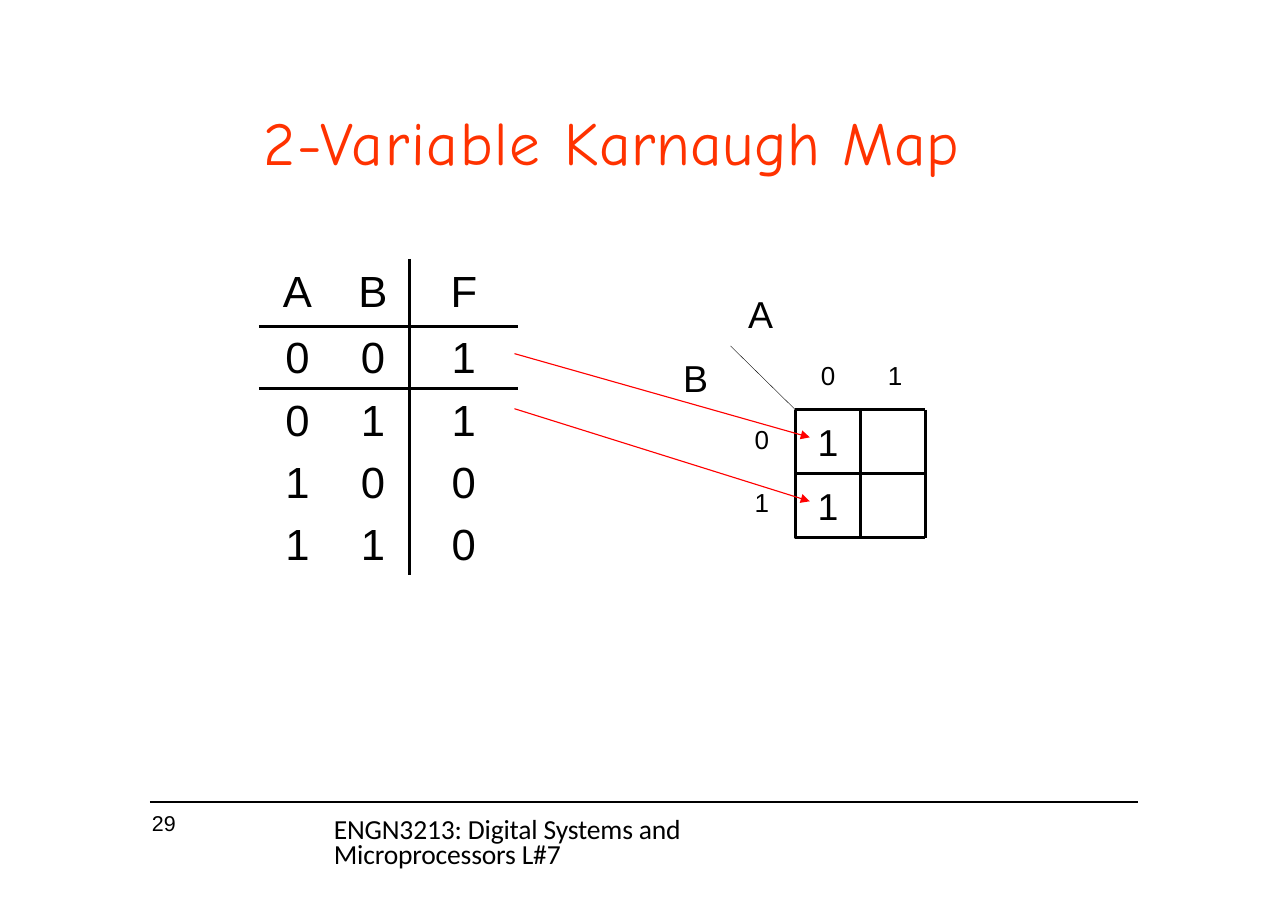
from lxml import etree
from pptx import Presentation
from pptx import util as u
from pptx.dml.color import RGBColor
from pptx.enum import shapes, text
from pptx.oxml import parse_xml
from pptx.oxml.ns import nsdecls, qn

BLACK, RED, ORANGE = "000000", "FF0000", "FF3200"


def write(shape, spans, size, color=BLACK, font="Arial", inset=0.03, line=None, tab=None):
    """Fill a shape, or a table cell, with one paragraph of (wording, letter spacing) spans."""
    frame = shape.text_frame
    frame.word_wrap = True
    for side in ("left", "right", "bottom"):
        setattr(frame, f"margin_{side}", 0)
    frame.margin_top = u.Inches(inset)
    para = frame.paragraphs[0]
    if tab:
        stops = etree.SubElement(para._p.get_or_add_pPr(), qn("a:tabLst"))
        etree.SubElement(stops, qn("a:tab"), pos=str(u.Inches(tab)), algn="l")
    if line:
        para.line_spacing = u.Pt(line)
    for wording, spacing in spans:
        span = para.add_run()
        span.text = wording
        span.font.size, span.font.name = u.Pt(size), font
        span.font.color.rgb = RGBColor.from_string(color)
        if spacing:
            span._r.get_or_add_rPr().set("spc", str(round(spacing * 100)))
    return para


def draw_line(x1, y1, x2, y2, weight, color=BLACK, arrow=False):
    line = page.shapes.add_connector(shapes.MSO_CONNECTOR.STRAIGHT,
                                     *(u.Inches(v) for v in (x1, y1, x2, y2)))
    line.line.width = u.Pt(weight)
    line.line.color.rgb = RGBColor.from_string(color)
    if arrow:
        etree.SubElement(line.line._get_or_add_ln(), qn("a:tailEnd"), type="triangle")
    etree.SubElement(line._element.spPr, qn("a:effectLst"))


deck = Presentation()
deck.slide_width, deck.slide_height = u.Inches(11.69), u.Inches(8.26)
page = deck.slides.add_slide(deck.slide_layouts[5])

# Footer rule and title
draw_line(1.36, 7.28, 10.33, 7.28, 0.75)
title = page.shapes.title
title.left, title.top, title.width, title.height = (u.Inches(v) for v in (2.39, 0.93, 6.91, 0.69))
heading = write(title, [("2-Variable ", 1.2), ("Karnaugh ", 0.4), ("Map", 0.6)],
                40, ORANGE, "Comic Neue", 0.02)
heading.alignment = text.PP_ALIGN.LEFT
title.text_frame.vertical_anchor = text.MSO_ANCHOR.TOP
title.text_frame.auto_size = text.MSO_AUTO_SIZE.NONE

# Truth table
TRUTH = ["ABF", "001", "011", "100", "110"]
table_left, table_top, head_height, row_height = 2.35, 2.35, 0.61, 0.5
column_widths = [0.7, 0.67, 0.98]
holder = page.shapes.add_table(
    len(TRUTH), len(column_widths), u.Inches(table_left), u.Inches(table_top),
    u.Inches(sum(column_widths)), u.Inches(head_height + 4 * row_height))
truth = holder.table
truth.first_row = truth.horz_banding = False
truth._tbl.tblPr.find(qn("a:tableStyleId")).text = "{2D5ABB26-0587-4C30-8999-92F81FD0307C}"
for column, width in zip(truth.columns, column_widths):
    column.width = u.Inches(width)
for r, values in enumerate(TRUTH):
    truth.rows[r].height = u.Inches(row_height if r else head_height)
    for c, value in enumerate(values):
        cell = truth.cell(r, c)
        write(cell, [(value, 0)], 28.5, inset=0,
              line=33.5 if r else 34.1).alignment = text.PP_ALIGN.CENTER
        cell.fill.background()
        edges = ["lnR"] * (c == 1) + ["lnB"] * (r < 2)
        for place, edge in enumerate(edges):
            border = parse_xml(
                f'<a:{edge} {nsdecls("a")} w="{u.Pt(2.25)}"><a:solidFill>'
                f'<a:srgbClr val="{BLACK}"/></a:solidFill></a:{edge}>')
            cell._tc.get_or_add_tcPr().insert(place, border)

# Karnaugh map: a two by two grid with both cells of column 0 filled in
map_left, map_top, cell_width, cell_height = 7.22, 3.72, 0.59, 0.58
for r in range(2):
    square = page.shapes.add_shape(
        shapes.MSO_SHAPE.RECTANGLE, u.Inches(map_left), u.Inches(map_top + r * cell_height),
        u.Inches(cell_width), u.Inches(cell_height))
    square.shadow.inherit = False
    square.fill.background()
    square.line.width = u.Pt(1.38)
    square.line.color.rgb = RGBColor.from_string(BLACK)
    write(square, [("1", 0.1)], 24.5, inset=0).alignment = text.PP_ALIGN.CENTER
    square.text_frame.vertical_anchor = text.MSO_ANCHOR.MIDDLE
for i in range(3):
    x, y = map_left + i * cell_width, map_top + i * cell_height
    draw_line(x, map_top, x, map_top + 2 * cell_height, 2)
    draw_line(map_left, y, map_left + 2 * cell_width, y, 2)
draw_line(map_left - cell_width, map_top - cell_height, map_left, map_top, 0.25)

# Arrows from the rows where F is 1 to their map cells
table_right = table_left + sum(column_widths)
for r in range(2):
    draw_line(table_right - 0.03, table_top + head_height + (r + 0.5) * row_height,
              map_left + 0.13, map_top + 0.25 + r * cell_height, 0.75, RED, arrow=True)

# Map labels, page number and footer: wording, left, top, width, height, spacing, format
name_left, name_top = map_left - 0.43, map_top - 1.11
label = {"size": 17}
footer = {"inset": 0, "line": 16.5}
boxes = [
    ("A", name_left, name_top, 0.26, 0.44, 0.1, {"size": 24.5}),
    ("B", name_left - cell_width, name_top + cell_height, 0.26, 0.44, 0.1, {"size": 24.5}),
    ("0\t1", map_left + 0.23, map_top - 0.49, 0.76, 0.31, -0.1, {**label, "tab": 0.61}),
    ("0", map_left - 0.37, map_top + 0.09, 0.16, 0.31, -0.1, label),
    ("1", map_left - 0.37, map_top + 0.09 + cell_height, 0.16, 0.31, -0.1, label),
    ("29", 1.38, 7.36, 0.27, 0.25, 0, {**footer, "size": 14}),
    ("ENGN3213: Digital Systems and Microprocessors L#7", 3.03, 7.44, 4.7, 0.25, -0.1,
     {**footer, "size": 18, "font": "Calibri"}),
]
for wording, left, top, width, height, spacing, style in boxes:
    box = page.shapes.add_textbox(*(u.Inches(v) for v in (left, top, width, height)))
    write(box, [(wording, spacing)], **style)

deck.save("out.pptx")
